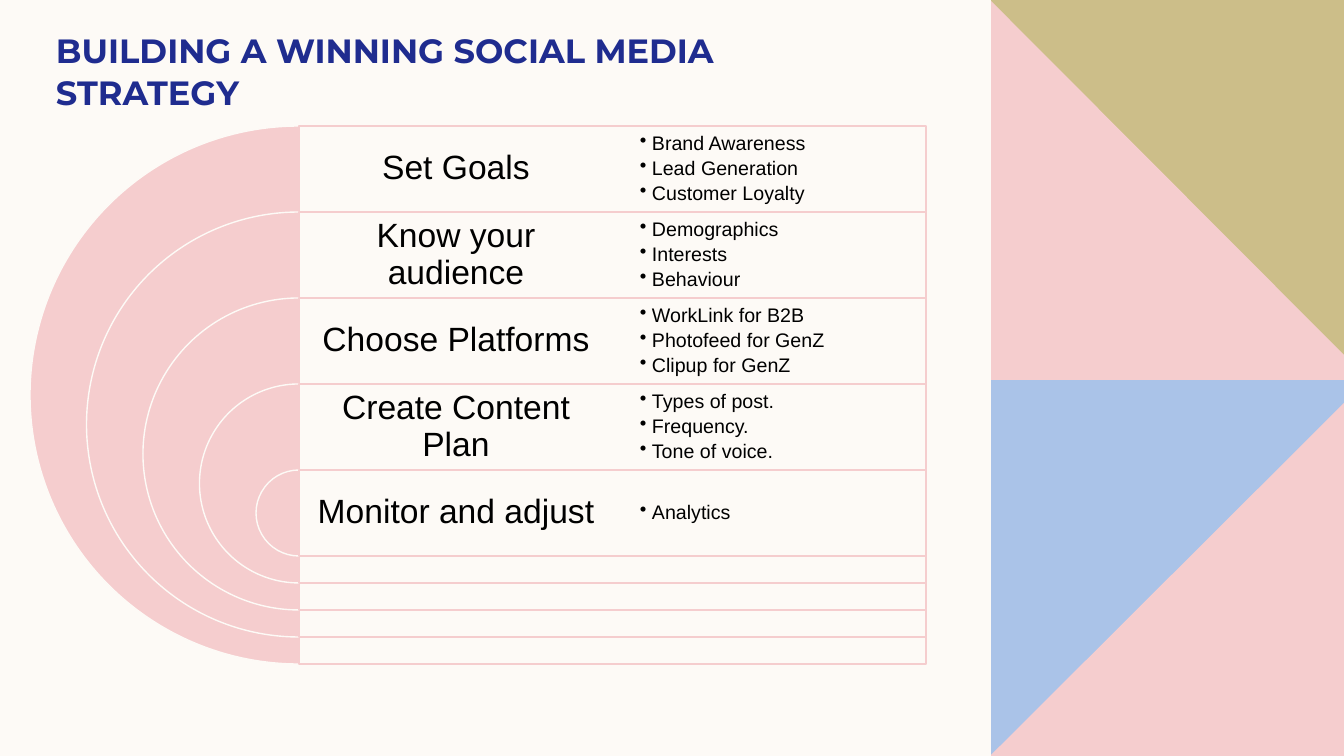
from lxml.etree import SubElement
from pptx import Presentation
from pptx.dml.color import RGBColor
from pptx.enum.shapes import MSO_SHAPE
from pptx.enum.text import MSO_ANCHOR, PP_ALIGN
from pptx.oxml.ns import qn
from pptx.util import Pt

TITLE = "BUILDING A WINNING SOCIAL MEDIA\vSTRATEGY"
STEPS = [
    ("Set Goals", ["Brand Awareness", "Lead Generation", "Customer Loyalty"]),
    ("Know your audience", ["Demographics", "Interests", "Behaviour"]),
    ("Choose Platforms", ["WorkLink for B2B", "Photofeed for GenZ", "Clipup for GenZ"]),
    ("Create Content Plan", ["Types of post.", "Frequency.", "Tone of voice."]),
    ("Monitor and adjust", ["Analytics"]),
]
THEME = {
    "paper": RGBColor.from_string("FDFAF6"),
    "pink": RGBColor.from_string("F5CDCE"),
    "blue": RGBColor.from_string("AAC3E8"),
    "olive": RGBColor.from_string("CCBE89"),
    "navy": RGBColor.from_string("1F2C8F"),
    "ink": RGBColor.from_string("000000"),
    "head": Pt(24),
    "small": Pt(14),
    "line": Pt(1),
}
PANELS = [
    ("blue", [(991, 378), (1344, 378), (1344, 756), (991, 756)]),
    ("pink", [(1344, 403), (1344, 756), (991, 756), (991, 755)]),
    ("olive", [(991, 0), (1344, 0), (1344, 379), (991, 379)]),
    ("pink", [(991, 1), (1344, 355), (1344, 380), (991, 380)]),
]
TITLE_FONT = {"name": "Montserrat", "size": THEME["head"], "bold": True}
LABEL_FONT = {"name": "Arial", "size": THEME["head"]}
BULLET_FONT = {"name": "Arial", "size": THEME["small"]}
TITLE_PARA = {"line_spacing": Pt(30)}
LABEL_PARA = {"alignment": PP_ALIGN.CENTER, "line_spacing": 0.9}
BULLET_PARA = {"line_spacing": 0.9, "space_after": Pt(2.7)}

PX = 914400 / 100.8
LEFT, TOP, ROW = 299, 126, 86
WIDTH, HALF = 627, 314
GROWTH = 113
INDENT = 12


def emu(px):
    return round(px * PX)


def apply(target, values):
    for key, value in values.items():
        setattr(target, key, value)


def paint(sp, fill, line=None):
    sp.shadow.inherit = False
    sp.fill.solid()
    sp.fill.fore_color.rgb = THEME[fill]
    if line:
        sp.line.color.rgb = THEME[line]
        sp.line.width = THEME["line"]
    else:
        sp.line.fill.background()


def add_panel(s, fill, points):
    builder = s.shapes.build_freeform(*points[0], scale=PX)
    builder.add_line_segments(points[1:], close=True)
    paint(builder.convert_to_shape(), fill)


def add_block(s, kind, box, fill, line):
    sp = s.shapes.add_shape(kind, *map(emu, box))
    paint(sp, fill, line)
    return sp


def add_bullet(p):
    pPr = p._p.get_or_add_pPr()
    pPr.set("marL", str(emu(INDENT)))
    pPr.set("indent", str(-emu(INDENT)))
    SubElement(pPr, qn("a:buChar")).set("char", "•")


def add_text(s, box, lines, font, para, color, anchor, inset, bullets=False):
    tf = s.shapes.add_textbox(*map(emu, box)).text_frame
    apply(tf, {
        "word_wrap": True, "vertical_anchor": anchor,
        "margin_left": emu(inset), "margin_right": emu(inset),
        "margin_top": 0, "margin_bottom": 0,
    })
    for i, line in enumerate(lines):
        p = tf.add_paragraph() if i else tf.paragraphs[0]
        p.text = line
        if bullets:
            add_bullet(p)
        apply(p, para)
        for r in p.runs:
            apply(r.font, font)
            r.font.color.rgb = THEME[color]


def add_step(s, i, label, items):
    y = TOP + ROW * i
    size = ROW + GROWTH * (len(STEPS) - 1 - i)
    pie = add_block(s, MSO_SHAPE.PIE, (LEFT - size / 2, y, size, size), "pink", "paper")
    pie.adjustments[0], pie.adjustments[1] = 54, 162
    add_block(s, MSO_SHAPE.RECTANGLE, (LEFT, y, WIDTH, size), "paper", "pink")
    add_text(s, (LEFT, y, HALF, ROW), [label], LABEL_FONT, LABEL_PARA,
             "ink", MSO_ANCHOR.MIDDLE, 10)
    add_text(s, (LEFT + HALF, y, HALF, ROW), items, BULLET_FONT, BULLET_PARA,
             "ink", MSO_ANCHOR.MIDDLE, 27, bullets=True)


def main():
    prs = Presentation()
    apply(prs, {"slide_width": emu(1344), "slide_height": emu(756)})
    s = prs.slides.add_slide(prs.slide_layouts[6])
    s.background.fill.solid()
    s.background.fill.fore_color.rgb = THEME["paper"]
    for fill, points in PANELS:
        add_panel(s, fill, points)
    add_text(s, (46, 24, 864, 88), [TITLE], TITLE_FONT, TITLE_PARA,
             "navy", MSO_ANCHOR.BOTTOM, 10)
    for i, (label, items) in enumerate(STEPS):
        add_step(s, i, label, items)
    prs.save("out.pptx")


if __name__ == "__main__":
    main()
